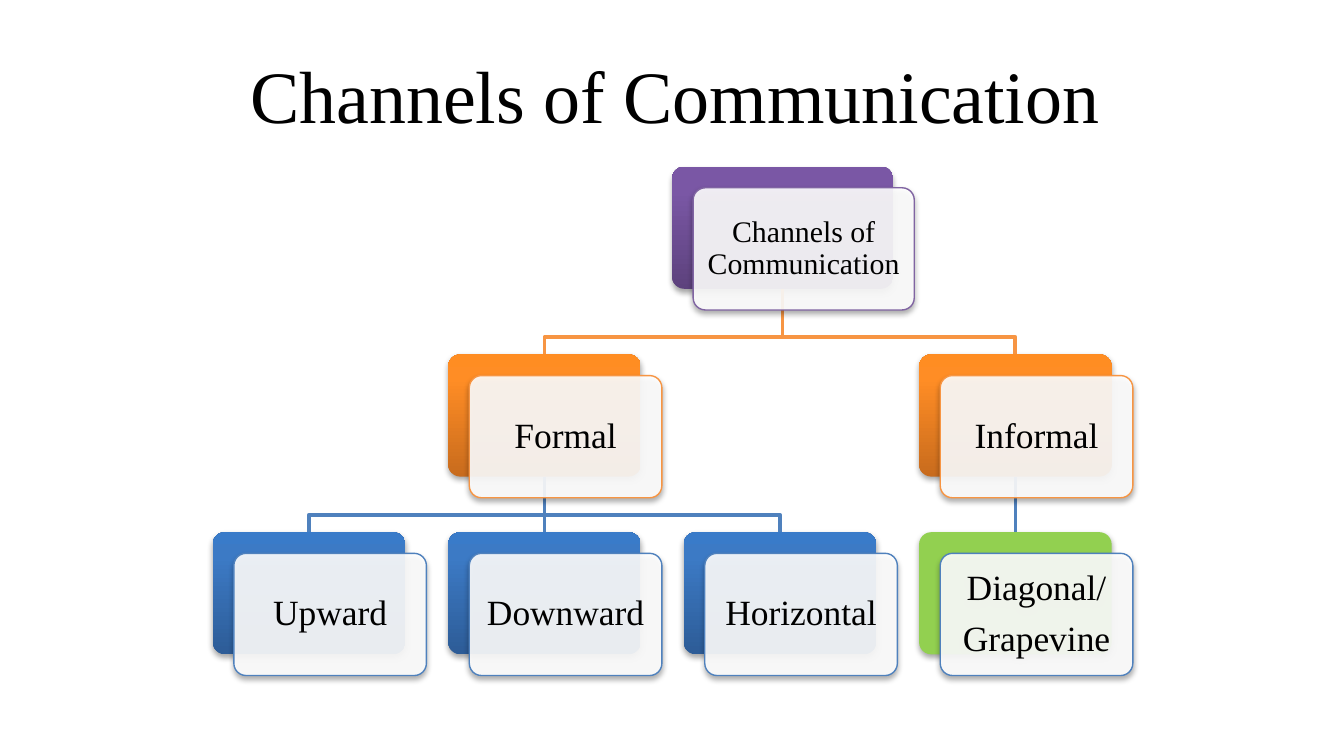
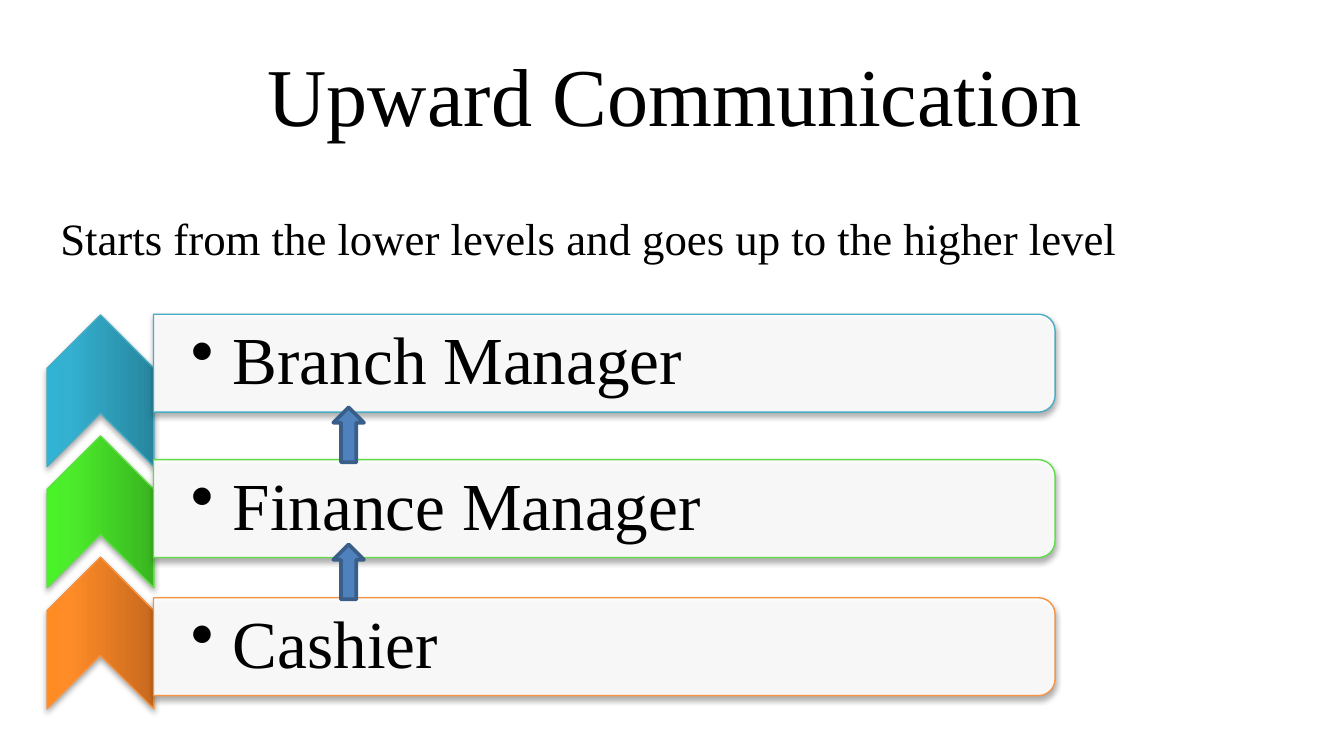
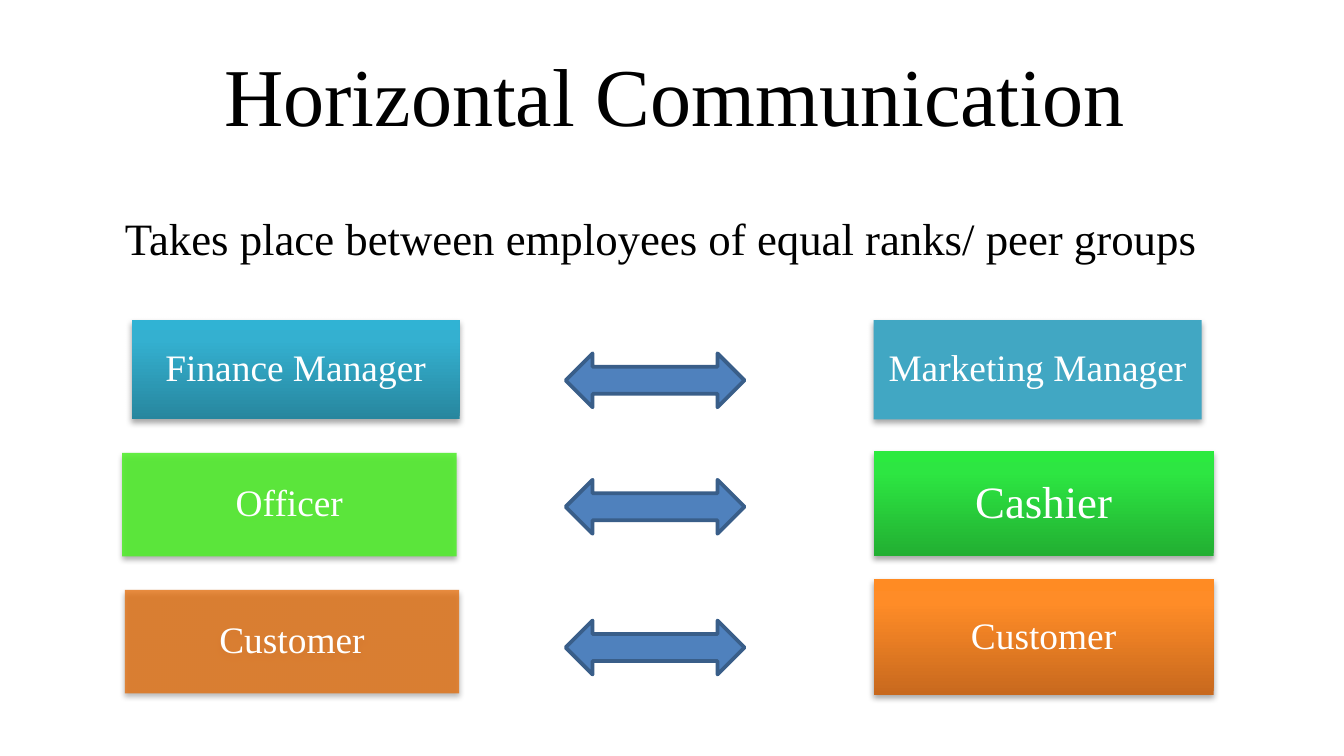
from copy import deepcopy
from dataclasses import dataclass

from lxml.etree import SubElement
from pptx import Presentation
from pptx.dml.color import RGBColor
from pptx.enum.shapes import MSO_CONNECTOR, MSO_SHAPE
from pptx.enum.text import MSO_ANCHOR, MSO_AUTO_SIZE, PP_ALIGN
from pptx.oxml.ns import qn
from pptx.shapes.autoshape import Shape
from pptx.slide import Slide
from pptx.util import Cm, Pt


# Theme and small records
@dataclass(frozen=True)
class Theme:
    face: str = "Times New Roman"
    black: str = "000000"
    white: str = "FFFFFF"
    blue: str = "4F81BD"
    navy: str = "395E89"
    orange: str = "F79543"
    purple: str = "8064A2"
    teal: str = "49ACC5"
    green: str = "5FDF45"
    amber: str = "F69444"
    # Shades run from the bottom to the top of a shape
    purples: tuple[str, ...] = ("5D427D", "7A57A5", "7A56A7")
    oranges: tuple[str, ...] = ("C86B1D", "FF8D25", "FF8D22")
    blues: tuple[str, ...] = ("2D5C97", "3C7AC5", "397BC9")
    teals: tuple[str, ...] = ("27869E", "34B0D0", "30B3D4")
    limes: tuple[str, ...] = ("39B520", "4CED2B", "4AF228")
    greens: tuple[str, ...] = ("22AF32", "2DE642", "2BEA3F")
    ambers: tuple[str, ...] = ("C8691E", "FF8C27", "FF8B23")
    title: float = 44
    chart: float = 39.6
    step: float = 36
    note: float = 24
    label: float = 20
    node: float = 19
    root: float = 16
    thin: float = 0.75
    thick: float = 2


T = Theme()


@dataclass(frozen=True)
class Box:
    """Place and size in centimetres."""
    left: float
    top: float
    width: float
    height: float


@dataclass(frozen=True)
class Look:
    fill: tuple[str, ...]
    line: str = ""
    weight: float = T.thin
    alpha: int = 100
    shade: bool = True


@dataclass(frozen=True)
class Node:
    name: str
    box: Box
    fill: tuple[str, ...]
    line: str
    boss: str = ""
    text: str = ""
    size: float = T.node
    inset: float = 0.2


@dataclass(frozen=True)
class Step:
    text: str
    top: float
    fill: tuple[str, ...]
    line: str


@dataclass(frozen=True)
class Peer:
    text: str
    box: Box
    fill: tuple[str, ...]
    alpha: int = 100
    size: float = T.label
    inset: float = 0.2


ARROW = Look((T.blue,), T.navy, T.thick, shade=False)


# Drawing helpers
def ink(code: str) -> RGBColor:
    return RGBColor.from_string(code)


def paint(shape: Shape, look: Look) -> None:
    """Set fill, line and soft shadow."""
    props = shape._element.spPr
    if len(look.fill) == 1:
        shape.fill.solid()
        shape.fill.fore_color.rgb = ink(look.fill[0])
        if look.alpha < 100:
            tint = props.find(qn("a:solidFill")).find(qn("a:srgbClr"))
            SubElement(tint, qn("a:alpha"), val=str(look.alpha * 1000))
    else:
        shape.fill.gradient()
        shape.fill.gradient_angle = 90
        stops = props.find(qn("a:gradFill")).find(qn("a:gsLst"))
        stops.append(deepcopy(stops[-1]))
        for stop, code, place in zip(shape.fill.gradient_stops, look.fill, (0, 0.8, 1)):
            stop.color.rgb = ink(code)
            stop.position = place
    if look.line:
        shape.line.color.rgb = ink(look.line)
        shape.line.width = Pt(look.weight)
    else:
        shape.line.fill.background()
    shape.shadow.inherit = False
    if look.shade:
        cast = SubElement(props.find(qn("a:effectLst")), qn("a:outerShdw"),
                          blurRad="40000", dist="23000", dir="5400000", rotWithShape="0")
        tint = SubElement(cast, qn("a:srgbClr"), val=T.black)
        SubElement(tint, qn("a:alpha"), val="35000")


def draw(slide: Slide, kind: MSO_SHAPE, box: Box, look: Look, turn: int = 0) -> Shape:
    """Draw a shape whose box is given as seen, even after a quarter turn."""
    wide, high = (box.height, box.width) if turn else (box.width, box.height)
    left = box.left + (box.width - wide) / 2
    top = box.top + (box.height - high) / 2
    shape = slide.shapes.add_shape(kind, Cm(left), Cm(top), Cm(wide), Cm(high))
    shape.rotation = turn
    paint(shape, look)
    return shape


def write(shape: Shape, text: str, size: float, color: str = T.black,
          align: PP_ALIGN = PP_ALIGN.CENTER, inset: tuple[float, float] = (0.2, 0.2),
          pitch: float = 0.9, bullet: bool = False) -> None:
    """Fill a shape with text; inset is (left, other sides)."""
    frame = shape.text_frame
    frame.word_wrap = True
    frame.vertical_anchor = MSO_ANCHOR.MIDDLE
    frame.margin_left = Cm(inset[0])
    frame.margin_right = frame.margin_top = frame.margin_bottom = Cm(inset[1])
    for count, part in enumerate(text.split("\n")):
        para = frame.add_paragraph() if count else frame.paragraphs[0]
        para.text = part
        para.alignment = align
        para.line_spacing = pitch
        if count:
            para.space_before = Pt(6.7)
        if bullet:
            para.level = 1
            props = para._p.get_or_add_pPr()
            props.set("marL", str(Cm(0.79)))
            props.set("indent", str(-Cm(0.79)))
            tint = SubElement(props, qn("a:buClr"))
            SubElement(tint, qn("a:srgbClr"), val=T.black)
            SubElement(props, qn("a:buChar"), char="•")
        para.font.name = T.face
        para.font.size = Pt(size)
        para.font.color.rgb = ink(color)


def label(slide: Slide, box: Box) -> Shape:
    return slide.shapes.add_textbox(Cm(box.left), Cm(box.top), Cm(box.width), Cm(box.height))


def start(deck: Presentation, title: str, size: float = T.title) -> Slide:
    slide = deck.slides.add_slide(deck.slide_layouts[6])
    write(label(slide, Box(1.27, 0.58, 22.86, 2.39)), title, size,
          inset=(0.25, 0.13), pitch=1)
    return slide


def note(slide: Slide, text: str, left: float, width: float) -> None:
    shape = label(slide, Box(left, 3.86, width, 1.27))
    write(shape, text, T.note, align=PP_ALIGN.LEFT, inset=(0.25, 0.13), pitch=1)
    shape.text_frame.vertical_anchor = MSO_ANCHOR.TOP
    shape.text_frame.auto_size = MSO_AUTO_SIZE.SHAPE_TO_FIT_TEXT


def link(slide: Slide, boss: Shape, child: Shape, color: str) -> None:
    """Join two cards by a straight line, or by a bent one if they are not in line."""
    x, y = boss.left + boss.width // 2, boss.top + boss.height
    end, foot = child.left + child.width // 2, child.top
    if abs(end - x) < Cm(0.1):
        line = slide.shapes.add_connector(MSO_CONNECTOR.STRAIGHT, x, y, end, foot)
        line.begin_connect(boss, 2)
        line.end_connect(child, 0)
        SubElement(line._element.spPr, qn("a:effectLst"))
    else:
        bend = foot - Cm(0.33)
        path = slide.shapes.build_freeform(x, y)
        path.add_line_segments([(x, bend), (end, bend), (end, foot)], close=False)
        line = path.convert_to_shape()
        line.fill.background()
        line.shadow.inherit = False
    line.line.color.rgb = ink(color)
    line.line.width = Pt(T.thick)


# Slide 1: tree of channels
def spot(col: int, row: int) -> Box:
    return Box(4.02 + 4.45 * col, 6.7 + 3.36 * row, 3.64, 2.31)


NODES = (
    Node("Root", Box(12.7, 3.15, 4.18, 2.31), T.purples, T.purple,
         text="Channels of Communication", size=T.root, inset=0.17),
    Node("Formal", spot(1, 0), T.oranges, T.orange, "Root"),
    Node("Informal", spot(3, 0), T.oranges, T.orange, "Root"),
    Node("Upward", spot(0, 1), T.blues, T.blue, "Formal"),
    Node("Downward", spot(1, 1), T.blues, T.blue, "Formal"),
    Node("Horizontal", spot(2, 1), T.blues, T.blue, "Formal"),
    Node("Diagonal", spot(3, 1), ("92D050",), T.blue, "Informal",
         text="Diagonal/\nGrapevine"),
)


def tree(deck: Presentation) -> None:
    slide = start(deck, "Channels of Communication", T.chart)
    backs: dict[str, Shape] = {}
    for node in NODES:
        card = draw(slide, MSO_SHAPE.ROUNDED_RECTANGLE, node.box, Look(node.fill))
        card.adjustments[0] = 0.1
        backs[node.name] = card
    for node in NODES:
        if node.boss:
            link(slide, backs[node.boss], backs[node.name], node.line)
    for node in NODES:
        box = Box(node.box.left + 0.4, node.box.top + 0.4, node.box.width, node.box.height)
        card = draw(slide, MSO_SHAPE.ROUNDED_RECTANGLE, box,
                    Look((T.white,), node.line, alpha=90))
        card.adjustments[0] = 0.1
        write(card, node.text or node.name, node.size, inset=(node.inset, node.inset))


# Slide 2: steps up the ranks
STEPS = (
    Step("Branch Manager", 5.94, T.teals, T.teal),
    Step("Finance Manager", 8.69, T.limes, T.green),
    Step("Cashier", 11.3, T.ambers, T.amber),
)


def climb(deck: Presentation) -> None:
    slide = start(deck, "Upward Communication")
    for rank, step in enumerate(STEPS):
        draw(slide, MSO_SHAPE.CHEVRON, Box(0.89, 5.95 + 2.29 * rank, 2.02, 2.87),
             Look(step.fill, step.line), turn=270)
        box = Box(2.9, step.top, 17.04, 1.85)
        bar = draw(slide, MSO_SHAPE.ROUND_2_SAME_RECTANGLE, box,
                   Look((T.white,), step.line, alpha=90), turn=90)
        bar.adjustments[0] = 0.17
        write(label(slide, box), step.text, T.step, align=PP_ALIGN.LEFT,
              inset=(0.71, 0.05), bullet=True)
    for top in (7.7, 10.29):
        draw(slide, MSO_SHAPE.UP_ARROW, Box(6.3, top, 0.58, 1.04), ARROW)
    note(slide, "Starts from the lower levels and goes up to the higher level", 0.89, 21.59)


# Slide 3: pairs of equal rank
PEERS = (
    Peer("Finance Manager", Box(2.49, 6.05, 6.2, 1.88), T.teals),
    Peer("Marketing Manager", Box(16.51, 6.05, 6.2, 1.88), ("41A7C3",)),
    Peer("Officer", Box(2.31, 8.56, 6.32, 1.96), ("50ED2B",), 88),
    Peer("Cashier", Box(16.51, 8.53, 6.43, 1.98), T.greens, size=T.note, inset=0.25),
    Peer("Customer", Box(2.36, 11.15, 6.32, 1.96), ("E36C09",), 77),
    Peer("Customer", Box(16.51, 10.95, 6.43, 2.18), T.ambers),
)


def pairs(deck: Presentation) -> None:
    slide = start(deck, "Horizontal Communication")
    for peer in PEERS:
        card = draw(slide, MSO_SHAPE.RECTANGLE, peer.box, Look(peer.fill, alpha=peer.alpha))
        write(card, peer.text, peer.size, T.white, inset=(peer.inset, peer.inset))
    for top in (6.68, 9.07, 11.73):
        draw(slide, MSO_SHAPE.LEFT_RIGHT_ARROW, Box(10.69, top, 3.38, 1.02), ARROW)
    note(slide, "Takes place between employees of equal ranks/ peer groups", 2.11, 21.79)


def main() -> None:
    deck = Presentation()
    deck.slide_width, deck.slide_height = Cm(25.4), Cm(14.29)
    for build in (tree, climb, pairs):
        build(deck)
    deck.save("out.pptx")


if __name__ == "__main__":
    main()
